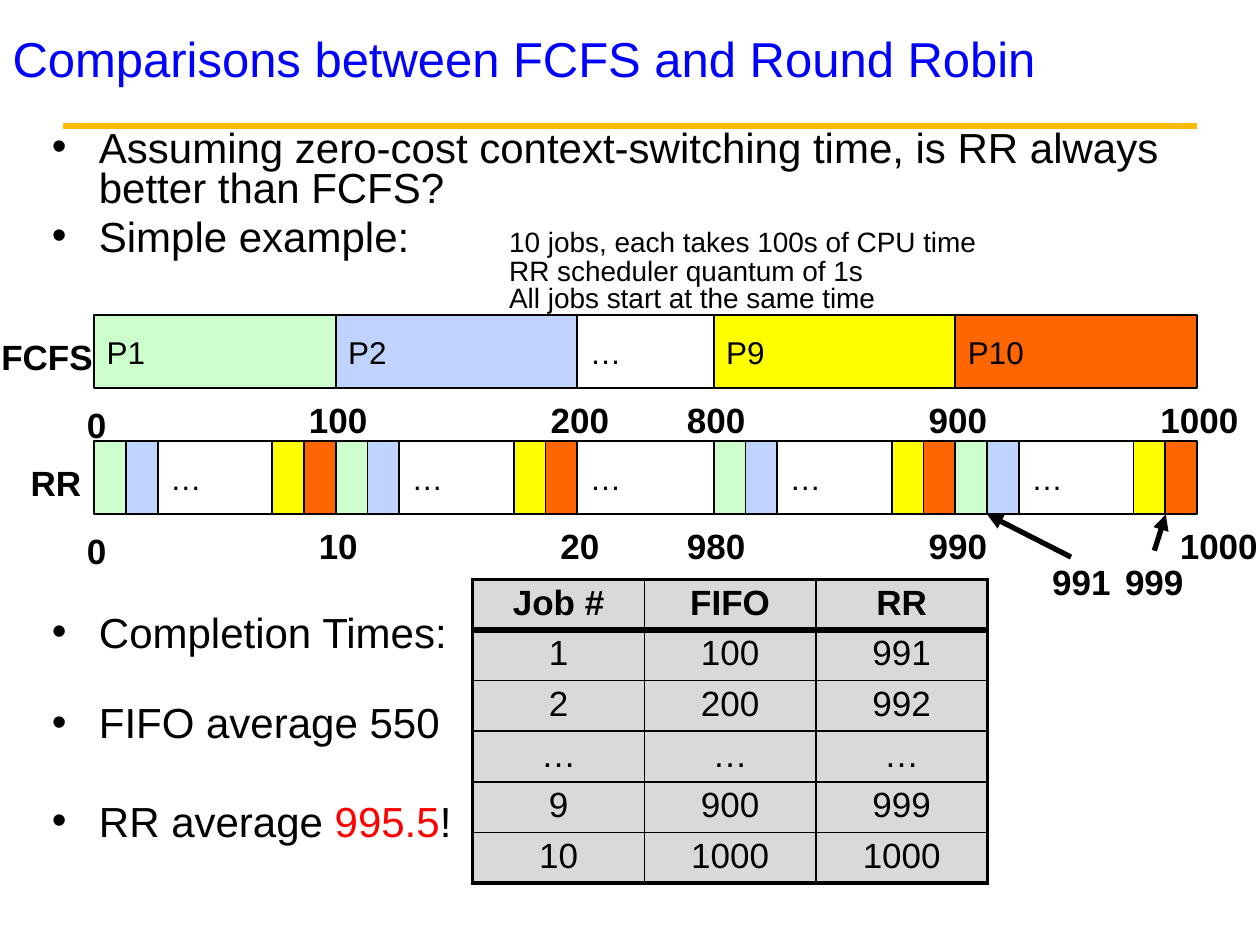
from dataclasses import dataclass
from itertools import accumulate
from typing import NamedTuple, Optional

from lxml.etree import SubElement
from pptx import Presentation
from pptx.dml.color import RGBColor
from pptx.enum.shapes import MSO_CONNECTOR, MSO_SHAPE
from pptx.enum.text import MSO_ANCHOR, MSO_AUTO_SIZE, PP_ALIGN
from pptx.oxml.ns import qn
from pptx.util import Cm, Pt


@dataclass(frozen=True)
class Theme:
    font: str = "Arial"
    title: str = "0000FF"
    text: str = "000000"
    accent: str = "FF0000"
    rule: str = "FBBA03"
    cell: str = "D9D9D9"
    green: str = "CCFFCC"
    blue: str = "C0D2FE"
    yellow: str = "FFFF00"
    orange: str = "FF6600"
    title_size: int = 28
    body_size: int = 24
    label_size: int = 20
    bar_size: int = 18
    note_size: int = 16


class Segment(NamedTuple):
    width: float
    color: Optional[str]
    text: str = ""


class Label(NamedTuple):
    text: str
    center: float
    top: float


class Arrow(NamedTuple):
    x1: float
    y1: float
    x2: float
    y2: float


class Bullet(NamedTuple):
    space_before: float
    runs: list


T = Theme()
LEFT, BLOCK, GAP, SLICE, BAR_H = 1.9, 4.87, 2.75, 0.64, 1.48
FCFS_TOP, RR_TOP = 6.35, 8.89
LABEL_H = 0.97

FCFS = [
    Segment(BLOCK, T.green, "P1"),
    Segment(BLOCK, T.blue, "P2"),
    Segment(GAP, None, "…"),
    Segment(BLOCK, T.yellow, "P9"),
    Segment(BLOCK, T.orange, "P10"),
]
ROUND = [
    Segment(SLICE, T.green),
    Segment(SLICE, T.blue),
    Segment(BLOCK - 4 * SLICE, None, "…"),
    Segment(SLICE, T.yellow),
    Segment(SLICE, T.orange),
]
RR = ROUND * 2 + [Segment(GAP, None, "…")] + ROUND * 2

FCFS_TICKS = ["0", "100", "200", "800", "900", "1000"]
RR_TICKS = ["0", "10", "20", "980", "990", "1000"]
LABELS = [
    Label("FCFS", 0.95, 6.63),
    Label("RR", 1.13, 9.17),
    Label("991", 21.8, 11.18),
    Label("999", 23.27, 11.18),
]
ARROWS = [Arrow(23.27, 11.1, 23.5, 10.37), Arrow(21.59, 11.23, 19.9, 10.37)]

BULLETS = [
    Bullet(4.8, [("Assuming zero-cost context-switching time, is RR always better than FCFS?",
                  T.body_size, T.text)]),
    Bullet(4.8, [("Simple example:", T.body_size, T.text),
                 ("\t10 jobs, each takes 100s of CPU time\n\tRR scheduler quantum of 1s\n"
                  "\tAll jobs start at the same time", T.note_size, T.text)]),
    Bullet(172.5, [("Completion Times:", T.body_size, T.text)]),
    Bullet(28.8, [("FIFO average 550", T.body_size, T.text)]),
    Bullet(33.4, [("RR average ", T.body_size, T.text), ("995.5", T.body_size, T.accent),
                  ("!", T.body_size, T.text)]),
]
TIMES = [
    ("Job #", "FIFO", "RR"),
    ("1", "100", "991"),
    ("2", "200", "992"),
    ("…", "…", "…"),
    ("9", "900", "999"),
    ("10", "1000", "1000"),
]


def rgb(color: str) -> RGBColor:
    return RGBColor.from_string(color)


def style(r, size: float, color: str = T.text, bold: bool = False) -> None:
    r.font.name, r.font.size, r.font.bold = T.font, Pt(size), bold
    r.font.color.rgb = rgb(color)


def place(sp, left: float, top: float, width: float, height: float) -> None:
    sp.left, sp.top, sp.width, sp.height = Cm(left), Cm(top), Cm(width), Cm(height)


def add_line(slide, line: Arrow, color: str, width: float, head: bool = False) -> None:
    cx = slide.shapes.add_connector(MSO_CONNECTOR.STRAIGHT, *(Cm(v) for v in line))
    cx.line.color.rgb, cx.line.width = rgb(color), Pt(width)
    if head:
        SubElement(cx.line._get_or_add_ln(), qn("a:tailEnd"), type="triangle")
    SubElement(cx._element.spPr, qn("a:effectLst"))


def add_bullet(p, bullet: Bullet) -> None:
    p.line_spacing, p.space_before = 0.8, Pt(bullet.space_before)
    pPr = p._p.get_or_add_pPr()
    pPr.set("marL", str(Cm(0.95)))
    pPr.set("indent", str(Cm(-0.95)))
    SubElement(pPr, qn("a:buChar"), char="•")
    tabs = SubElement(pPr, qn("a:tabLst"))
    SubElement(tabs, qn("a:tab"), pos=str(Cm(9.22)), algn="l")
    for text, size, color in bullet.runs:
        for i, line in enumerate(text.split("\n")):
            if i:
                p.add_line_break()
                SubElement(p._p[-1], qn("a:rPr"), sz=str(size * 100))
            r = p.add_run()
            r.text = line
            style(r, size, color)


def add_lane(slide, top: float, segments: list) -> None:
    """Lay the segments end to end from the left edge of the timeline."""
    starts = accumulate((s.width for s in segments), initial=LEFT)
    for x, seg in zip(starts, segments):
        sp = slide.shapes.add_shape(MSO_SHAPE.RECTANGLE, Cm(x), Cm(top), Cm(seg.width), Cm(BAR_H))
        sp.shadow.inherit = False
        sp.line.color.rgb, sp.line.width = rgb(T.text), Pt(1)
        if seg.color:
            sp.fill.solid()
            sp.fill.fore_color.rgb = rgb(seg.color)
        else:
            sp.fill.background()
        if seg.text:
            tf = sp.text_frame
            tf.text, tf.vertical_anchor = seg.text, MSO_ANCHOR.MIDDLE
            tf.paragraphs[0].alignment = PP_ALIGN.LEFT
            style(tf.paragraphs[0].runs[0], T.bar_size)


def add_label(slide, label: Label) -> None:
    width = 0.51 + 0.4 * len(label.text)
    if label.text.isalpha():
        width += 0.25
    sp = slide.shapes.add_textbox(Cm(label.center - width / 2), Cm(label.top), Cm(width), Cm(LABEL_H))
    tf = sp.text_frame
    tf.text, tf.word_wrap = label.text, False
    p = tf.paragraphs[0]
    p.alignment = PP_ALIGN.CENTER
    style(p.runs[0], T.label_size, bold=True)


def add_ticks(slide, bar_top: float, ticks: list, last_shift: float) -> None:
    ends = accumulate((s.width for s in FCFS), initial=LEFT)
    for i, (x, text) in enumerate(zip(ends, ticks)):
        drop = 0.17 if i == 0 else 0.07
        shift = last_shift if i == len(ticks) - 1 else 0.05
        add_label(slide, Label(text, x + shift, bar_top + BAR_H + drop))


def set_borders(cell, widths: dict) -> None:
    tcPr = cell._tc.get_or_add_tcPr()
    for side, width in widths.items():
        ln = SubElement(tcPr, qn(f"a:ln{side}"), w=str(Pt(width)))
        SubElement(SubElement(ln, qn("a:solidFill")), qn("a:srgbClr"), val=T.text)


def add_times(slide) -> None:
    rows, cols = len(TIMES), len(TIMES[0])
    table = slide.shapes.add_table(rows, cols, Cm(9.53), Cm(11.68),
                                   Cm(3.46 * cols), Cm(1.02 * rows)).table
    table.first_row = table.horz_banding = False
    outer, inner, header = 2.25, 1, 4.5
    for i, row in enumerate(TIMES):
        for j, text in enumerate(row):
            cell = table.cell(i, j)
            cell.text, cell.vertical_anchor = text, MSO_ANCHOR.MIDDLE
            p = cell.text_frame.paragraphs[0]
            p.alignment, p.line_spacing = PP_ALIGN.CENTER, 0.9
            style(p.runs[0], T.label_size, bold=i == 0)
            set_borders(cell, {
                "L": outer if j == 0 else inner,
                "R": outer if j == cols - 1 else inner,
                "T": {0: outer, 1: header}.get(i, inner),
                "B": {0: header, rows - 1: outer}.get(i, inner),
            })
            cell.fill.solid()
            cell.fill.fore_color.rgb = rgb(T.cell)


def main() -> None:
    prs = Presentation()
    prs.slide_width, prs.slide_height = Cm(25.4), Cm(19.05)
    slide = prs.slides.add_slide(prs.slide_layouts[1])
    add_line(slide, Arrow(1.27, 2.54, 24.13, 2.54), T.rule, 3.75)

    title, body = slide.placeholders
    place(title, 0, 0.43, 25.4, 1.47)
    title.text_frame.text = "Comparisons between FCFS and Round Robin"
    p = title.text_frame.paragraphs[0]
    p.alignment = PP_ALIGN.LEFT
    style(p.runs[0], T.title_size, T.title)

    place(body, 0.79, 2.51, 24.56, 17.15)
    tf = body.text_frame
    tf.auto_size = MSO_AUTO_SIZE.NONE
    for i, bullet in enumerate(BULLETS):
        add_bullet(tf.add_paragraph() if i else tf.paragraphs[0], bullet)

    add_times(slide)
    add_lane(slide, FCFS_TOP, FCFS)
    add_ticks(slide, FCFS_TOP, FCFS_TICKS, 0.05)
    add_lane(slide, RR_TOP, RR)
    add_ticks(slide, RR_TOP, RR_TICKS, 0.44)
    for label in LABELS:
        add_label(slide, label)
    for arrow in ARROWS:
        add_line(slide, arrow, T.text, 3, head=True)
    prs.save("out.pptx")


if __name__ == "__main__":
    main()
